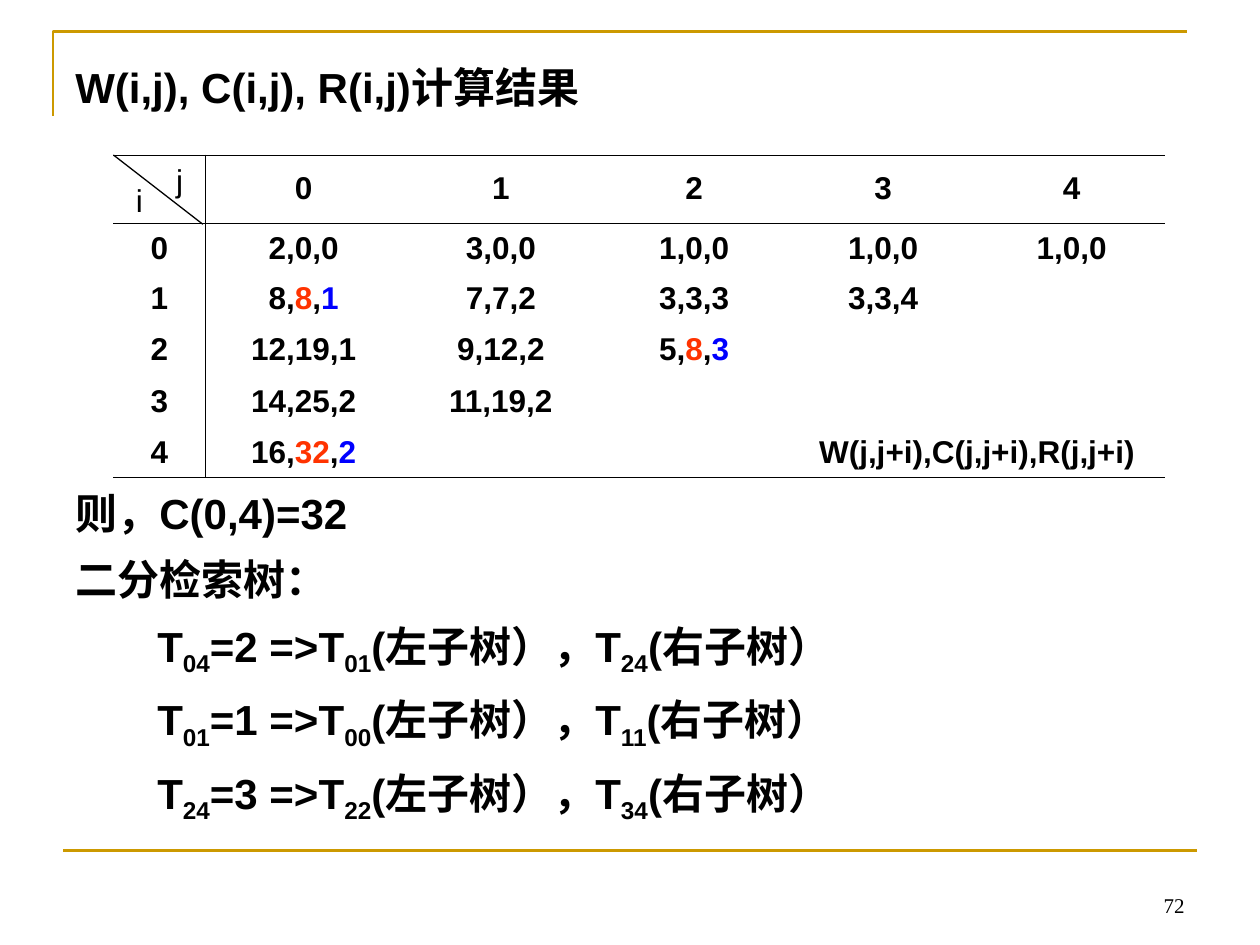
from lxml.etree import SubElement
from pptx import Presentation
from pptx.dml.color import RGBColor
from pptx.enum.shapes import MSO_CONNECTOR
from pptx.enum.text import MSO_ANCHOR, PP_ALIGN
from pptx.oxml import parse_xml
from pptx.oxml.ns import nsdecls, qn
from pptx.util import Pt

PX = 9144  # 100 px to the inch
BLACK, RED, BLUE, GOLD = "000000", "FF3300", "0000FF", "CC9900"


def rgb(value):
    return RGBColor.from_string(value)


def write(p, text, size=24, font="Arial", color=BLACK, bold=True, sub=False):
    r = p.add_run()
    r.text = text
    r.font.size, r.font.name, r.font.bold = Pt(size), font, bold
    r.font.color.rgb = rgb(color)
    if sub:
        r._r.get_or_add_rPr().set("baseline", "-25000")


prs = Presentation()
prs.slide_width, prs.slide_height = 1000 * PX, 750 * PX
s = prs.slides.add_slide(prs.slide_layouts[6])

# Corner frame
fb = s.shapes.build_freeform(42, 92, scale=PX)
fb.add_line_segments([(42, 25), (942, 25)], close=False)
sp = fb.convert_to_shape()
sp.shadow.inherit = False
sp.fill.background()
sp.line.color.rgb = rgb(GOLD)
sp.line.width = Pt(1.5)

# Result table
rows = [
    ["", "0", "1", "2", "3", "4"],
    ["0", "2,0,0", "3,0,0", "1,0,0", "1,0,0", "1,0,0"],
    ["1", "8,8,1", "7,7,2", "3,3,3", "3,3,4", ""],
    ["2", "12,19,1", "9,12,2", "5,8,3", "", ""],
    ["3", "14,25,2", "11,19,2", "", "", ""],
    ["4", "16,32,2", "", "", "W(j,j+i),C(j,j+i),R(j,j+i)", ""],
]
col_widths = [73, 156, 157, 150, 150, 149]
row_heights = [54] + [40] * 5
highlighted = {(2, 1), (3, 3), (5, 1)}

table = s.shapes.add_table(6, 6, 90 * PX, 123 * PX, sum(col_widths) * PX,
                           sum(row_heights) * PX).table
table.first_row = table.horz_banding = False
for col, width in zip(table.columns, col_widths):
    col.width = width * PX
for row, height in zip(table.rows, row_heights):
    row.height = height * PX
table.cell(5, 4).merge(table.cell(5, 5))

for i, row in enumerate(rows):
    for j, text in enumerate(row):
        cell = table.cell(i, j)
        cell.fill.background()
        cell.vertical_anchor = MSO_ANCHOR.MIDDLE
        p = cell.text_frame.paragraphs[0]
        p.alignment = PP_ALIGN.CENTER
        if (i, j) in highlighted:
            w, c, root = text.split(",")
            for part, color in [(w + ",", BLACK), (c, RED), (",", BLACK), (root, BLUE)]:
                write(p, part, size=18, color=color)
        elif text:
            write(p, text, size=18)
        # Rules: above and below the header, at the foot, right of column i
        borders = {"lnL": j == 1, "lnR": j == 0, "lnT": i in (0, 1), "lnB": i in (0, 5)}
        for pos, (tag, shown) in enumerate(borders.items()):
            ln = parse_xml(f'<a:{tag} {nsdecls("a")} w="5715"/>')
            fill = SubElement(ln, qn("a:solidFill" if shown else "a:noFill"))
            if shown:
                SubElement(fill, qn("a:srgbClr")).set("val", BLACK)
            cell._tc.get_or_add_tcPr().insert(pos, ln)

# Footer rule and header-cell diagonal
for x1, y1, x2, y2, color, width in [
    (50, 675, 950, 675, GOLD, 1.5),
    (90, 123, 161, 178, BLACK, 0.75),
]:
    line = s.shapes.add_connector(MSO_CONNECTOR.STRAIGHT, x1 * PX, y1 * PX, x2 * PX, y2 * PX)
    line.line.color.rgb = rgb(color)
    line.line.width = Pt(width)
    SubElement(line._element.spPr, qn("a:effectLst"))

# Text boxes: title, axis labels, page number, conclusion
label = dict(size=18, bold=False)
for x, y, w, h, text, fmt in [
    (50, 44, 923, 60, "W(i,j), C(i,j), R(i,j)计算结果", {}),
    (130, 123, 32, 40, "j", label),
    (98, 139, 31, 40, "i", label),
    (717, 683, 233, 50, "72", dict(size=12, font="Times New Roman", bold=False)),
    (50, 382, 923, 288, "则，C(0,4)=32", {}),
]:
    tf = s.shapes.add_textbox(x * PX, y * PX, w * PX, h * PX).text_frame
    tf.word_wrap = True
    p = tf.paragraphs[0]
    write(p, text, **fmt)
    if text == "72":
        tf.vertical_anchor = MSO_ANCHOR.BOTTOM
        p.alignment = PP_ALIGN.RIGHT

# Search tree lines, continuing the conclusion box
trees = [
    ("04", "2", "01", "24"),
    ("01", "1", "00", "11"),
    ("24", "3", "22", "34"),
]
lines = [[("二分检索树：", False)]]
for tree, root, left, right in trees:
    lines.append([("T", False), (tree, True), (f"={root} =>T", False), (left, True),
                  ("(左子树），T", False), (right, True), ("(右子树）", False)])
for n, parts in enumerate(lines):
    p = tf.add_paragraph()
    p.line_spacing = 1.1
    p.space_before = Pt(6)
    if n:
        p._p.get_or_add_pPr().set("marL", str(65 * PX))
    for text, sub in parts:
        write(p, text, sub=sub)

prs.save("out.pptx")
